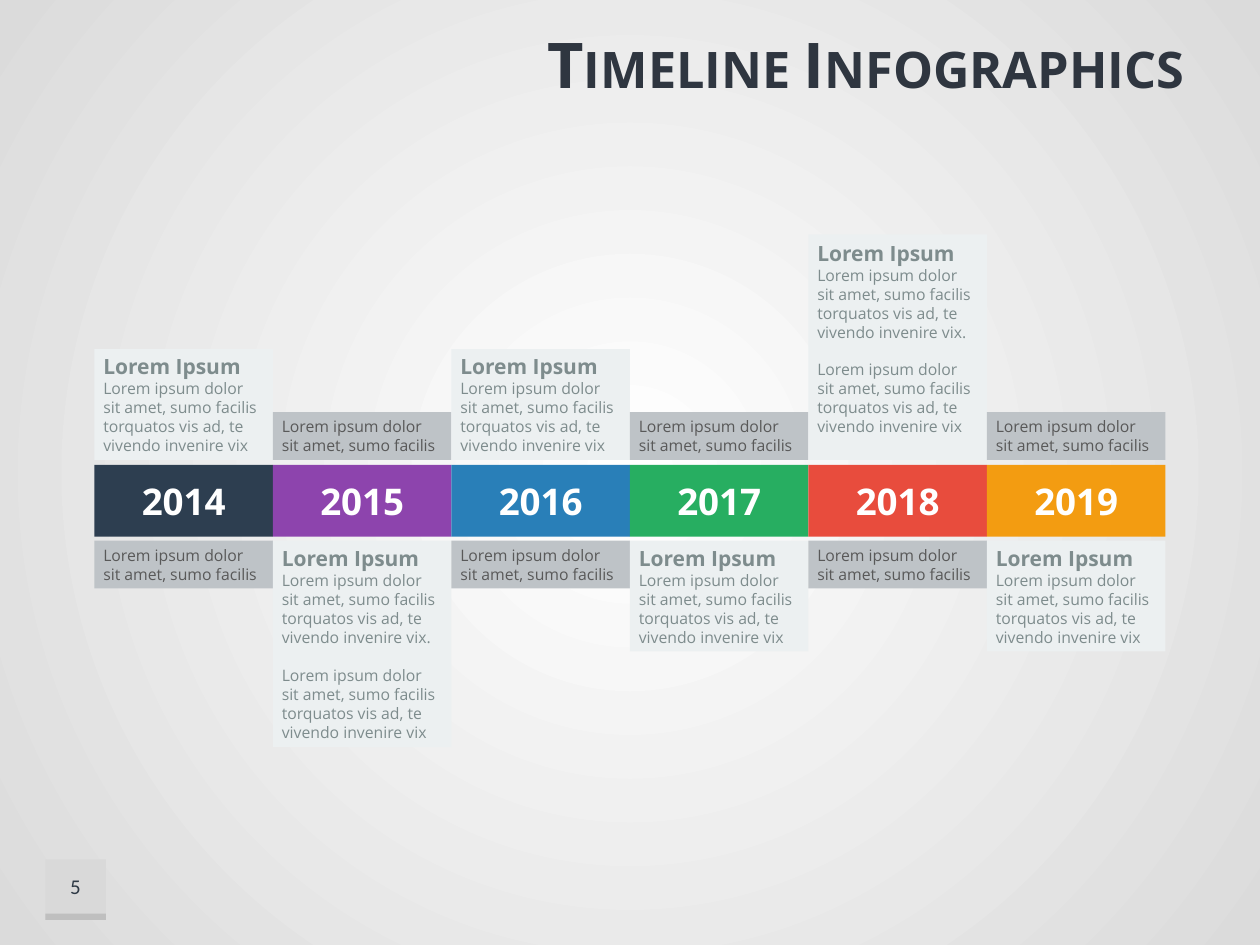
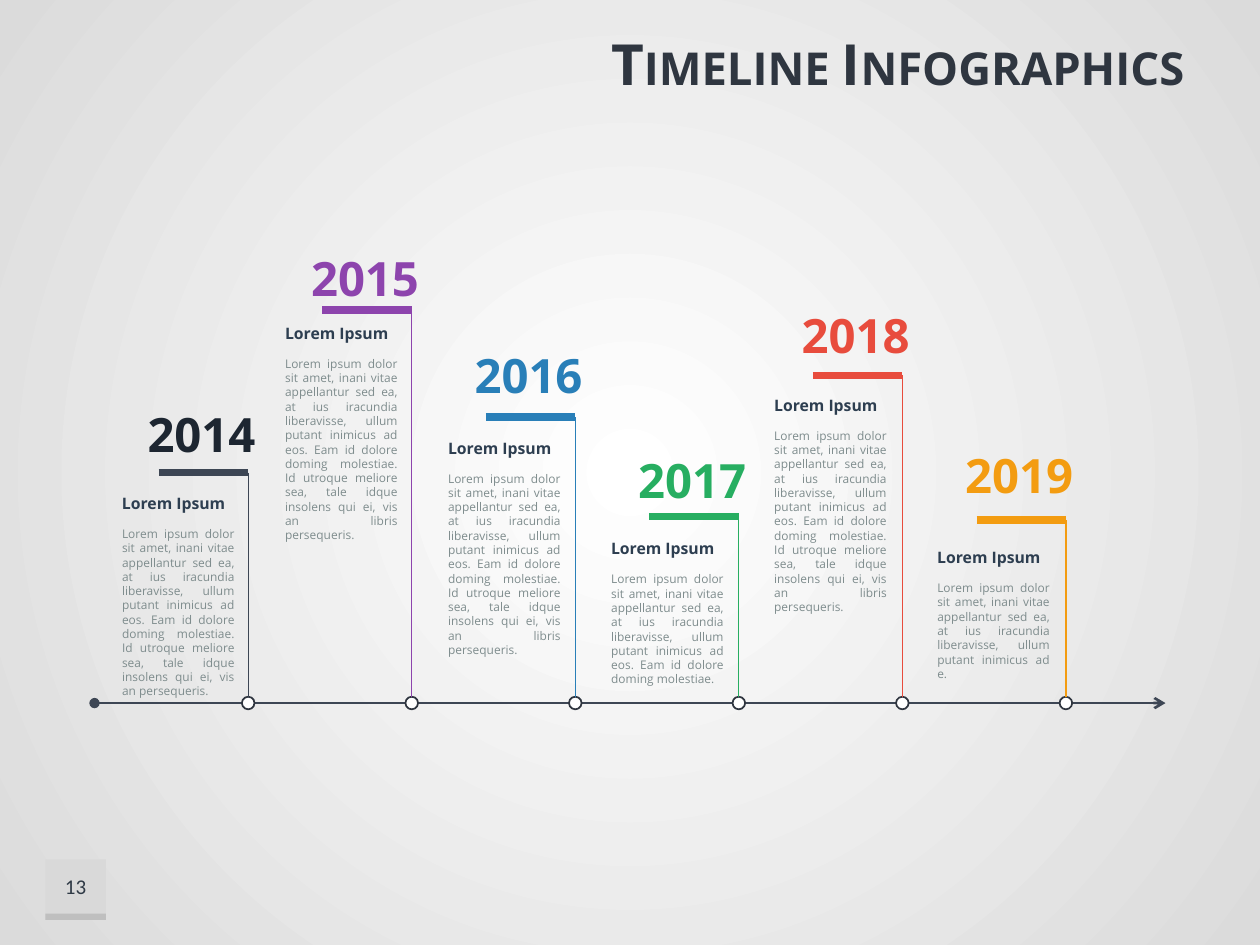
from pptx import Presentation, oxml
from pptx.dml import color as dml
from pptx.enum import shapes, text
from pptx.oxml import ns
from pptx.util import Inches, Pt

# Shared look
FONT = "Open Sans"
INK, GREY, NAVY, SLATE = "2F3640", "7E8C8D", "2D3E50", "3D4654"
PALE, SILVER, WHITE = "ECF0F1", "BEC3C7", "FFFFFF"
HUES = ["8D44AD", "297FB8", "27AE61", "E84C3D", "F39C11"]
YEARS = ["2014", "2015", "2016", "2017", "2018", "2019"]
LEFT, RIGHT = 0.75, 9.25
ALIGN, ANCHOR = text.PP_ALIGN, text.MSO_ANCHOR
RECT, OVAL = shapes.MSO_SHAPE.RECTANGLE, shapes.MSO_SHAPE.OVAL

# Wording
HEAD = "Lorem Ipsum"
NOTE = "Lorem ipsum dolor sit amet, sumo facilis"
BRIEF = NOTE + " torquatos vis ad, te vivendo invenire vix"
BASE = ("Lorem ipsum dolor sit amet, inani vitae appellantur sed ea, at ius "
        "iracundia liberavisse, ullum putant inimicus ad ")
MID = BASE + "eos. Eam id dolore doming molestiae."
LONG = MID + " Id utroque meliore sea, tale idque insolens qui ei, vis an "
FULL = LONG + "libris persequeris."

# Slide 1: paragraphs of the card of each year, odd years below the band
CARDS = [[BRIEF], [BRIEF + ".", BRIEF], [BRIEF], [BRIEF],
         [BRIEF + ".", BRIEF], [BRIEF]]

# Slide 2: top of year, of bar and of heading, then the body text
STOPS = [
    (3.16, 3.75, 3.87, LONG + "persequeris."),
    (1.92, 2.46, 2.52, FULL),
    (2.69, 3.31, 3.43, FULL),
    (3.53, 4.10, 4.23, MID),
    (2.38, 2.98, 3.09, FULL),
    (3.49, 4.13, 4.30, BASE + "e."),
]


def rgb(code):
    return dml.RGBColor.from_string(code)


def say(frame, words, size=9, color=GREY, bold=False, font=FONT,
        align=ALIGN.LEFT, before=0, caps=False):
    """Add one formatted paragraph to a text frame."""
    para = frame.add_paragraph() if frame.text else frame.paragraphs[0]
    para.alignment = align
    para.space_before = Pt(before)
    run = para.add_run()
    run.text = words
    run.font.size, run.font.bold, run.font.name = Pt(size), bold, font
    run.font.color.rgb = rgb(color)
    if caps:
        run.font._element.set("cap", "small")


def inset(frame, left, top, right, low):
    frame.margin_left, frame.margin_top = Inches(left), Inches(top)
    frame.margin_right, frame.margin_bottom = Inches(right), Inches(low)


def block(slide, x, y, w, h, fill, kind=RECT, edge=None):
    """Add a filled shape, outlined only if an edge colour is given."""
    shape = slide.shapes.add_shape(kind, Inches(x), Inches(y), Inches(w), Inches(h))
    shape.shadow.inherit = False
    shape.fill.solid()
    shape.fill.fore_color.rgb = rgb(fill)
    if edge:
        shape.line.color.rgb, shape.line.width = rgb(edge), Pt(1)
    else:
        shape.line.fill.background()
    return shape


def label(slide, x, y, w, h, anchor=ANCHOR.TOP, wrap=True):
    """Add an empty text box and return its frame."""
    frame = slide.shapes.add_textbox(
        Inches(x), Inches(y), Inches(w), Inches(h)).text_frame
    frame.word_wrap, frame.vertical_anchor = wrap, anchor
    return frame


def rule(slide, x1, y1, x2, y2, color, width, ends=()):
    """Add a straight line; ends holds (tag, type) pairs of arrowheads."""
    line = slide.shapes.add_connector(
        shapes.MSO_CONNECTOR.STRAIGHT, Inches(x1), Inches(y1), Inches(x2), Inches(y2))
    line.line.color.rgb, line.line.width = rgb(color), Pt(width)
    for tag, kind in ends:
        oxml.parse_xml  # arrowheads have no public setter
        end = line.line._get_or_add_ln().makeelement(ns.qn(tag), {"type": kind})
        line.line._get_or_add_ln().append(end)
    props = line._element.spPr
    props.append(props.makeelement(ns.qn("a:effectLst"), {}))
    return line


def paint(master):
    """Give all slides the radial backdrop."""
    fill = master.background.fill
    fill.gradient()
    for stop, code in zip(fill.gradient_stops, (WHITE, "DBDBDB")):
        stop.color.rgb = rgb(code)
    grad = master._element.find(".//" + ns.qn("a:gradFill"))
    for lin in grad.findall(ns.qn("a:lin")):
        grad.remove(lin)
    grad.append(oxml.parse_xml(
        f'<a:path {ns.nsdecls("a")} path="circle">'
        '<a:fillToRect l="50000" t="50000" r="50000" b="50000"/></a:path>'))


def start(deck, page, size):
    """Add a slide with its title and page tab."""
    slide = deck.slides.add_slide(deck.slide_layouts[6])
    block(slide, 0.36, 6.82, 0.48, 0.48, "D9D9D9")
    block(slide, 0.36, 7.25, 0.48, 0.05, "BFBFBF")
    say(label(slide, 1.95, 0.16, 7.55, 0.68, ANCHOR.MIDDLE), "Timeline Infographics",
        size=size, color=INK, bold=True, align=ALIGN.RIGHT, caps=True)
    say(label(slide, 0.36, 6.82, 0.48, 0.43, ANCHOR.MIDDLE), page,
        size=12, color="2F3A46", font="Calibri", align=ALIGN.CENTER)
    return slide


def card(slide, x, w, h, above, fill):
    """Add a text panel that touches the year band from above or below."""
    shape = block(slide, x, 3.65 - h if above else 4.29, w, h, fill)
    frame = shape.text_frame
    frame.word_wrap = True
    frame.vertical_anchor = ANCHOR.BOTTOM if above else ANCHOR.TOP
    inset(frame, 0.07, 0.04, 0.07, 0.04)
    return frame


def band(deck):
    """Year band with cards on alternating sides."""
    slide = start(deck, "5", 36)
    wide = (RIGHT - LEFT) / len(YEARS)
    for i, (year, hue, parts) in enumerate(zip(YEARS, [NAVY] + HUES, CARDS)):
        x, above = LEFT + i * wide, i % 2 == 0
        frame = block(slide, x, 3.69, wide, 0.57, hue).text_frame
        frame.vertical_anchor = ANCHOR.MIDDLE
        say(frame, year, size=21, color=WHITE, bold=True, align=ALIGN.CENTER)

        say(card(slide, x, wide, 0.38, not above, SILVER), NOTE, color="595959")
        tall = len(parts) > 1
        high = (1.79 if above else 1.64) if tall else 0.88
        frame = card(slide, x, wide, high, above, PALE)
        if tall and above:
            frame.margin_bottom = Inches(0.19)
        say(frame, HEAD, size=12, bold=True)
        for n, part in enumerate(parts):
            say(frame, part, before=10.8 * n)


def axis(deck):
    """Arrow axis with a flag for each year."""
    slide = start(deck, "13", 32.4)
    rule(slide, LEFT, 5.58, RIGHT, 5.58, SLATE, 1.5,
         [("a:headEnd", "oval"), ("a:tailEnd", "arrow")])
    for i, (year, hue, stop) in enumerate(zip(YEARS, [SLATE] + HUES, STOPS)):
        top, bar, head, body = stop
        x, left = 1.97 + i * 6.49 / 5, 0.87 + i * 6.47 / 5
        # Year
        frame = label(slide, x - 0.9, top, 0.96, 0.56, ANCHOR.MIDDLE, wrap=False)
        inset(frame, 0.1, 0.05, 0, 0.05)
        say(frame, year, size=27, color=hue if i else "1D2631", bold=True,
            align=ALIGN.CENTER)
        # Flag
        dot = block(slide, x - 0.05, 5.53, 0.1, 0.1, WHITE, OVAL, "2F353F")
        rule(slide, x, bar, x, 5.53, hue, 0.75).end_connect(dot, 0)
        rule(slide, x - 0.71, bar, x, bar, hue, 4.5)
        # Text
        say(label(slide, left, head, 1.04, 0.25, wrap=False), HEAD,
            color=NAVY, bold=True)
        say(label(slide, left, head + 0.26, 1.09, 1.58), body, size=6.8,
            align=ALIGN.JUSTIFY)


def main():
    deck = Presentation()
    deck.slide_width, deck.slide_height = Inches(10), Inches(7.5)
    paint(deck.slide_master)
    band(deck)
    axis(deck)
    deck.save("out.pptx")


if __name__ == "__main__":
    main()
